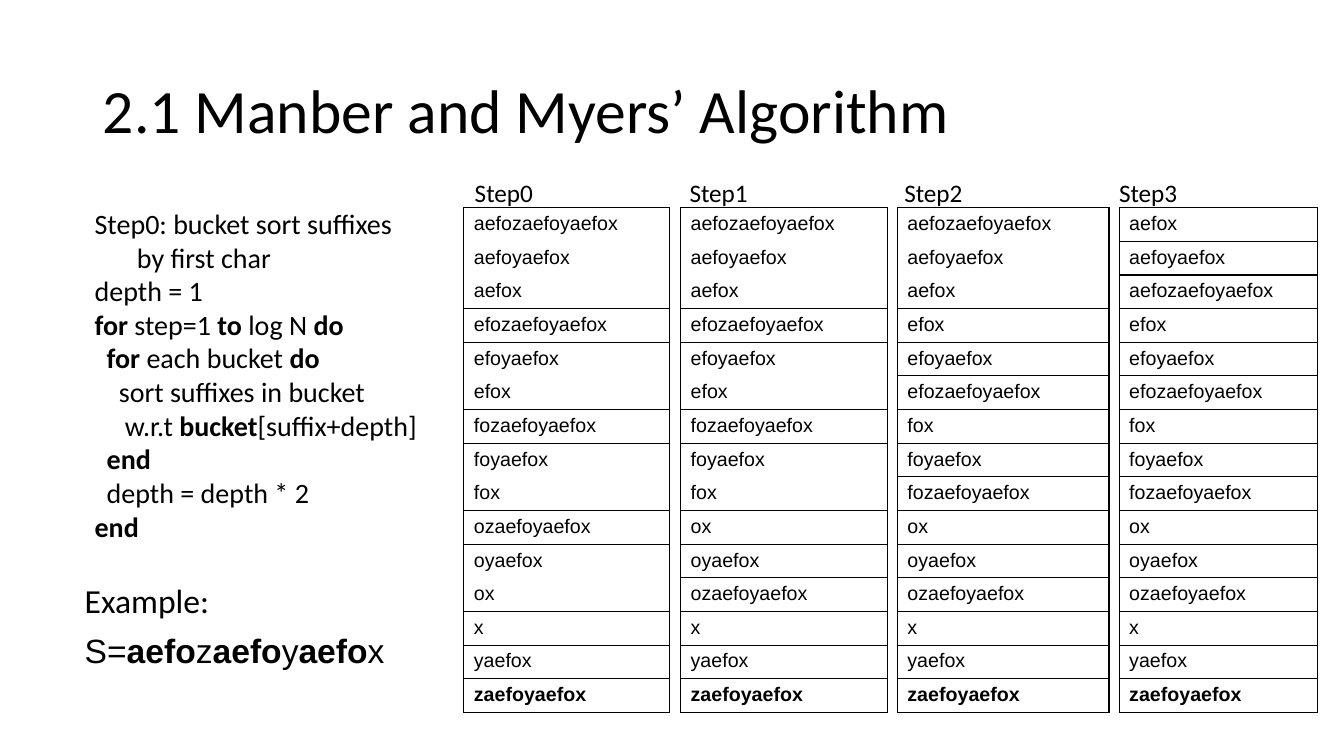
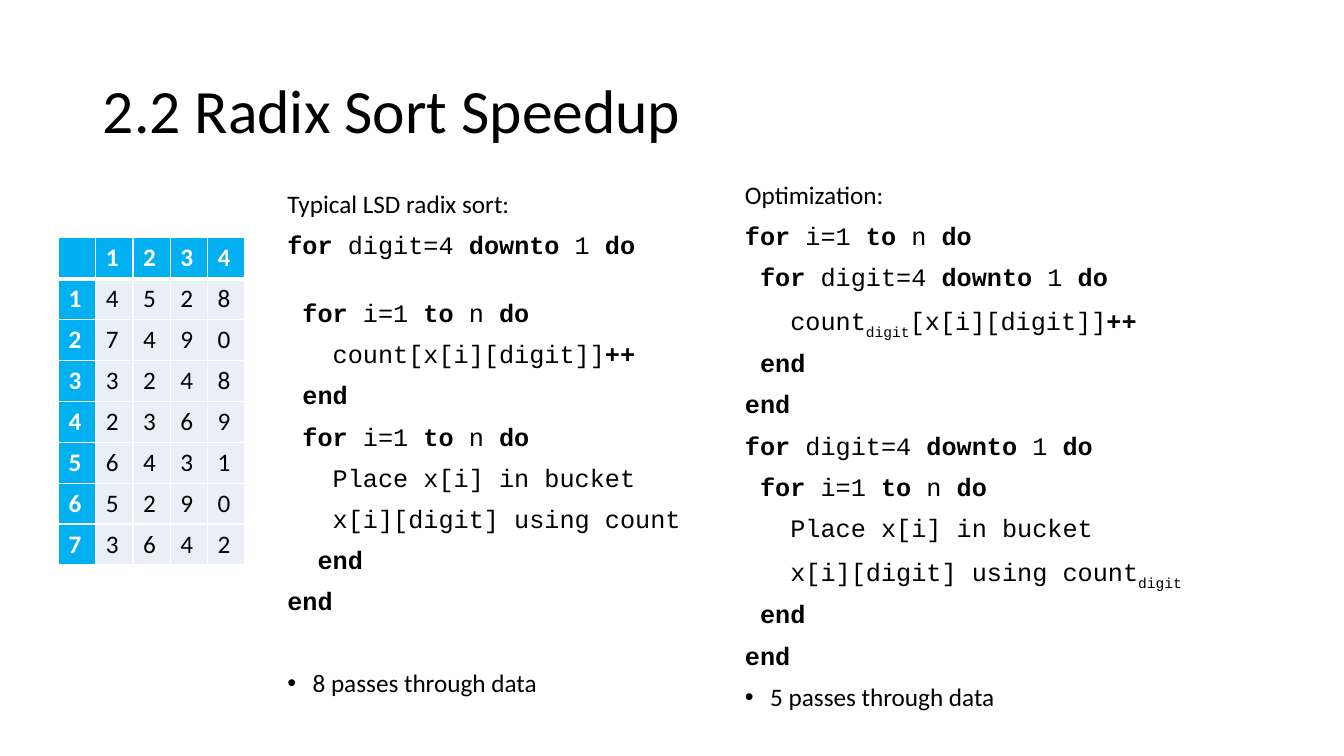
from itertools import accumulate

from lxml import etree
from pptx import Presentation
from pptx import util as u
from pptx.dml.color import RGBColor
from pptx.enum import text
from pptx.oxml.ns import qn

HUES = {"ink": "000000", "paper": "FFFFFF", "head": "00B0F0", "cell": "EAEFF7"}
PLAIN = "{2D5ABB26-0587-4C30-8999-92F81FD0307C}"
SANS, ARIAL, MONO = "Calibri", "Arial", "Courier New"


class Deck:
    def __init__(self):
        self.prs = Presentation()
        self.prs.slide_width = u.Inches(13.33)
        self.prs.slide_height = u.Inches(7.5)
        self.slide = None

    def start(self, title):
        self.slide = self.prs.slides.add_slide(self.prs.slide_layouts[1])
        frame = self.place(self.slide.shapes.title, 0.92, 0.4, 11.5, 1.45)
        frame.vertical_anchor = text.MSO_ANCHOR.MIDDLE
        self.para(frame, title, SANS, 44, space=0.9)

    def place(self, shape, left, top, width, height, wrap=True):
        shape.left, shape.top = u.Inches(left), u.Inches(top)
        shape.width, shape.height = u.Inches(width), u.Inches(height)
        frame = shape.text_frame
        frame.word_wrap = wrap
        frame.auto_size = text.MSO_AUTO_SIZE.NONE
        return frame

    def body(self, *box):
        return self.place(self.slide.placeholders[1], *box)

    def box(self, *box, wrap=True):
        spot = [u.Inches(n) for n in box]
        return self.place(self.slide.shapes.add_textbox(*spot), *box, wrap)

    def para(self, frame, line, font, size, hue="ink", space=1.0, gap=0,
             dent=0, dot=False):
        """Add a paragraph; | toggles bold and ~ toggles subscript."""
        par = frame.paragraphs[0]
        if par.runs:
            par = frame.add_paragraph()
        par.alignment = text.PP_ALIGN.LEFT
        par.line_spacing, par.space_before = space, u.Pt(gap)
        props = par._p.get_or_add_pPr()
        props.set("marL", str(u.Inches(0.25 if dot else dent)))
        props.set("indent", str(u.Inches(-0.25 if dot else 0)))
        if dot:
            etree.SubElement(props, qn("a:buFont")).set("typeface", ARIAL)
            etree.SubElement(props, qn("a:buChar")).set("char", "•")
        else:
            etree.SubElement(props, qn("a:buNone"))
        for i, part in enumerate(line.split("|")):
            for j, piece in enumerate(part.split("~")):
                if piece:
                    run = par.add_run()
                    run.text = piece
                    face = run.font
                    face.name, face.size, face.bold = font, u.Pt(size), i % 2 == 1
                    face.color.rgb = RGBColor.from_string(HUES[hue])
                    if j % 2:
                        face._element.set("baseline", "-25000")

    def code(self, frame, lines, font, size, step, **style):
        """Add lines given as (indent in characters, text, optional gap)."""
        for dent, line, *gap in lines:
            look = dict(style, gap=gap[0]) if gap else style
            self.para(frame, line, font, size, dent=dent * step, **look)

    def grid(self, left, top, width, height, rows, cols):
        spot = [u.Inches(n) for n in (left, top, width, height)]
        table = self.slide.shapes.add_table(rows, cols, *spot).table
        table._tbl.tblPr.find(qn("a:tableStyleId")).text = PLAIN
        table.first_row = table.horz_banding = False
        for row in table.rows:
            row.height = u.Inches(height / rows)
        return table

    def cell(self, cell, line, font, size, hue, fill, edge, widths):
        """Fill one cell; widths are the left, right, top and bottom borders."""
        props = cell._tc.get_or_add_tcPr()
        for side, width in zip("LRTB", widths):
            rule = etree.SubElement(props, qn("a:ln" + side))
            rule.set("w", str(u.Pt(width)))
            if width:
                paint = etree.SubElement(rule, qn("a:solidFill"))
                etree.SubElement(paint, qn("a:srgbClr")).set("val", HUES[edge])
            else:
                etree.SubElement(rule, qn("a:noFill"))
        cell.fill.solid()
        cell.fill.fore_color.rgb = RGBColor.from_string(HUES[fill])
        self.para(cell.text_frame, line, font, size, hue)

    def step(self, name, label, left, width, words, sizes):
        """Draw a labelled column of suffixes, ruled between buckets."""
        self.para(self.box(label, 1.71, 0.79, 0.4, wrap=False), name, SANS, 18)
        cuts = {0, *accumulate(sizes)}
        table = self.grid(left, 2.06, width, 5.01, len(words), 1)
        table.columns[0].width = u.Inches(width)
        for i, word in enumerate(words):
            line = f"|{word}|" if i == len(words) - 1 else word
            self.cell(table.cell(i, 0), line, ARIAL, 14, "ink", "paper", "ink",
                      (1, 1, int(i in cuts), int(i + 1 in cuts)))

    def digits(self, rows):
        table = self.grid(0.58, 2.36, 1.85, 3.24, len(rows) + 1, 5)
        for col in table.columns:
            col.width = u.Inches(0.37)
        for i, row in enumerate([" 1234", *rows]):
            marks = row if i == 0 else f"{i}{row}"
            for j, mark in enumerate(marks):
                head = i == 0 or j == 0
                line = f"|{mark.strip()}|" if head else mark
                self.cell(table.cell(i, j), line, SANS, 18,
                          "paper" if head else "ink", "head" if head else "cell",
                          "paper", (1, 1, 3 if i == 1 else 1, 3 if i == 0 else 1))


def manber(deck):
    deck.start("2.1 Manber and Myers’ Algorithm")
    frame = deck.body(0.74, 5.75, 4, 1.32)
    deck.para(frame, "Example:", SANS, 24, space=0.9, gap=10)
    deck.para(frame, "S=|aefo|z|aefo|y|aefo|x", ARIAL, 24, space=0.9, gap=10)
    deck.code(deck.box(0.84, 2, 3.43, 3.47, wrap=False), [
        (0, "Step0: bucket sort suffixes"),
        (7, "by first char"),
        (0, "depth = 1"),
        (0, "|for| step=1 |to| log N |do|"),
        (2, "|for| each bucket |do|"),
        (4, "sort suffixes in bucket"),
        (5, "w.r.t |bucket|[suffix+depth]"),
        (2, "|end|"),
        (2, "depth = depth * 2"),
        (0, "|end|"),
    ], SANS, 20, 0.06)

    root = "aefozaefoyaefox"
    last = ["x", "yaefox", "zaefoyaefox"]
    steps = [
        (4.61, 4.6, 2.04, "", [3, 1, 2, 1, 2, 1, 2, 1, 1, 1]),
        (6.74, 6.75, 2.05, "o", [3, 1, 2, 1, 2] + [1] * 6),
        (8.87, 8.9, 2.1, "efo", [3] + [1] * 12),
        (11, 11.1, 1.97, "aefo", [1] * 15),
    ]
    for i, (label, left, width, done, sizes) in enumerate(steps):
        words = []
        for key in "aefo":
            bucket = [root[n:] for n, char in enumerate(root) if char == key]
            words += sorted(bucket) if key in done else bucket
        deck.step(f"Step{i}", label, left, width, words + last, sizes)


def radix(deck):
    deck.start("2.2 Radix Sort Speedup")
    loop = "|for| i=1 |to| n |do|"
    scan = "|for| digit=4 |downto| 1 |do|"
    put = (3, "Place x[i] in bucket")
    stop = "|end|"
    panels = [
        (deck.body(2.75, 1.85, 5.33, 4.76), "Typical LSD radix sort:", [
            (0, scan), (1, loop, 29), (3, "count[x[i][digit]]|++|"), (1, stop),
            (1, loop), put, (3, "x[i][digit] using count"), (2, stop), (0, stop),
        ], "8 passes through data", 39),
        (deck.box(7.29, 1.76, 5.58, 5.3), "Optimization:", [
            (0, loop), (1, scan), (3, "count~digit~[x[i][digit]]|++|"),
            (1, stop), (0, stop), (0, scan), (1, loop), put,
            (3, "x[i][digit] using count~digit~"), (1, stop), (0, stop),
        ], "5 passes through data", 10),
    ]
    for frame, head, lines, note, gap in panels:
        deck.para(frame, head, SANS, 18, space=0.9, gap=10)
        deck.code(frame, lines, MONO, 18, 0.15, space=0.9, gap=10)
        deck.para(frame, note, SANS, 18, space=0.9, gap=gap, dot=True)
    deck.digits(["4528", "7490", "3248", "2369", "6431", "5290", "3642"])


def main():
    deck = Deck()
    manber(deck)
    radix(deck)
    deck.prs.save("out.pptx")


if __name__ == "__main__":
    main()
